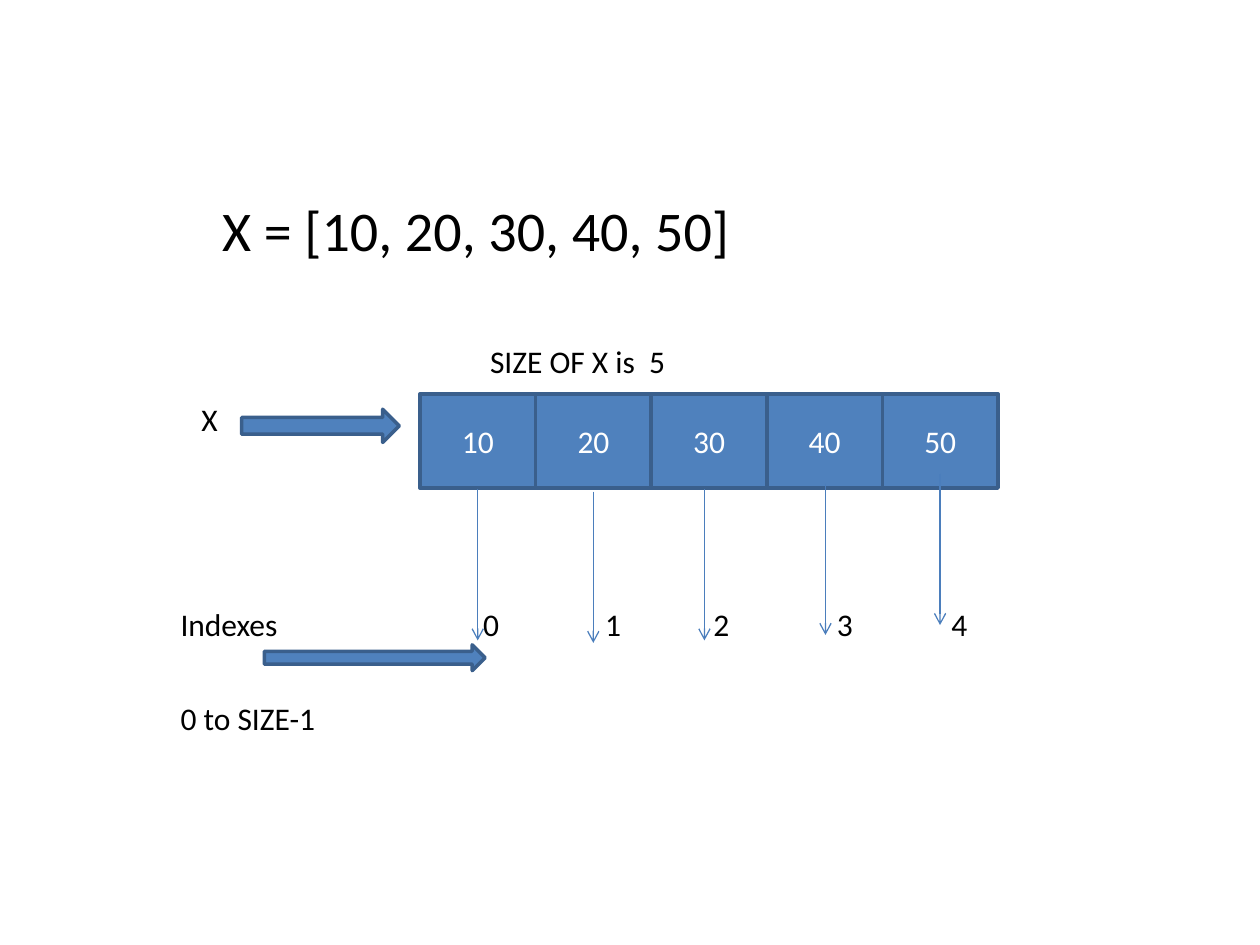
from lxml.etree import SubElement
from pptx import Presentation
from pptx.dml.color import RGBColor
from pptx.enum.shapes import MSO_CONNECTOR, MSO_SHAPE
from pptx.enum.text import MSO_ANCHOR, MSO_AUTO_SIZE, PP_ALIGN
from pptx.oxml.ns import qn
from pptx.util import Cm, Pt


def rgb(value):
    return RGBColor.from_string(value)


class Diagram:
    FONT = "Calibri"
    FILL, OUTLINE, POINTER = "4F81BD", "3A5F8C", "4B7EBC"

    def __init__(self, slide):
        self.s = slide

    def run(self, p, text, size, color):
        r = p.add_run()
        r.text = text
        r.font.name = self.FONT
        r.font.size = Pt(size)
        r.font.color.rgb = rgb(color)

    def text(self, text, x, y, w, h=1.02, size=18):
        sp = self.s.shapes.add_textbox(Cm(x), Cm(y), Cm(w), Cm(h))
        tf = sp.text_frame
        tf.word_wrap = True
        tf.auto_size = MSO_AUTO_SIZE.SHAPE_TO_FIT_TEXT
        p = tf.paragraphs[0]
        self.run(p, text, size, "000000")
        return p

    def tabbed_text(self, items, stops, x, y, w):
        """Put each item at its own tab stop, in cm from the text edge."""
        p = self.text("".join(f"\t{item}" for item in items), x, y, w)
        tabs = SubElement(p._p.get_or_add_pPr(), qn("a:tabLst"))
        for stop in stops:
            SubElement(tabs, qn("a:tab"), pos=str(Cm(stop)), algn="l")

    def shape(self, kind, x, y, w, h):
        sp = self.s.shapes.add_shape(kind, Cm(x), Cm(y), Cm(w), Cm(h))
        sp.shadow.inherit = False
        sp.fill.solid()
        sp.fill.fore_color.rgb = rgb(self.FILL)
        sp.line.color.rgb = rgb(self.OUTLINE)
        sp.line.width = Pt(2)
        return sp

    def cell(self, text, x, y, w, h):
        tf = self.shape(MSO_SHAPE.RECTANGLE, x, y, w, h).text_frame
        tf.vertical_anchor = MSO_ANCHOR.MIDDLE
        p = tf.paragraphs[0]
        p.alignment = PP_ALIGN.CENTER
        self.run(p, text, 18, "FFFFFF")

    def block_arrow(self, x, y, w, h):
        self.shape(MSO_SHAPE.RIGHT_ARROW, x, y, w, h)

    def pointer(self, x, y, length):
        """Draw a thin downward arrow."""
        cxn = self.s.shapes.add_connector(
            MSO_CONNECTOR.STRAIGHT, Cm(x), Cm(y), Cm(x), Cm(y + length))
        cxn.line.color.rgb = rgb(self.POINTER)
        cxn.line.width = Pt(0.75)
        SubElement(cxn.line._get_or_add_ln(), qn("a:tailEnd"), type="arrow")
        SubElement(cxn._element.spPr, qn("a:effectLst"))


def main():
    prs = Presentation()
    prs.slide_width, prs.slide_height = Cm(25.4), Cm(19.05)
    d = Diagram(prs.slides.add_slide(prs.slide_layouts[6]))

    values = [10, 20, 30, 40, 50]
    left, top, width, height = 8.47, 7.94, 2.33, 1.9

    d.text(f"X = {values}", 4.23, 3.81, 16.93, 1.62, size=32)
    for i, value in enumerate(values):
        d.cell(str(value), left + i * width, top, width, height)
    d.block_arrow(4.87, 8.25, 3.18, 0.67)
    d.text("X", 3.81, top, 1.06)

    pointers = [(9.63, 9.86), (11.96, 9.91), (14.2, 9.86), (16.64, 9.75), (18.95, 9.55)]
    for x, y in pointers:
        d.pointer(x, y, 3.05)

    d.tabbed_text(range(len(values)), [1.02, 3.48, 5.66, 8.15, 10.46], left, 12.07, 14.18)
    d.text("SIZE OF X is  5", 9.63, 6.77, 7.51)
    d.text("Indexes", 3.39, 12.07, 7.41)
    d.block_arrow(5.33, 13.0, 4.45, 0.52)
    d.text("0 to SIZE-1", 3.39, 13.97, 3.7)

    prs.save("out.pptx")


if __name__ == "__main__":
    main()
